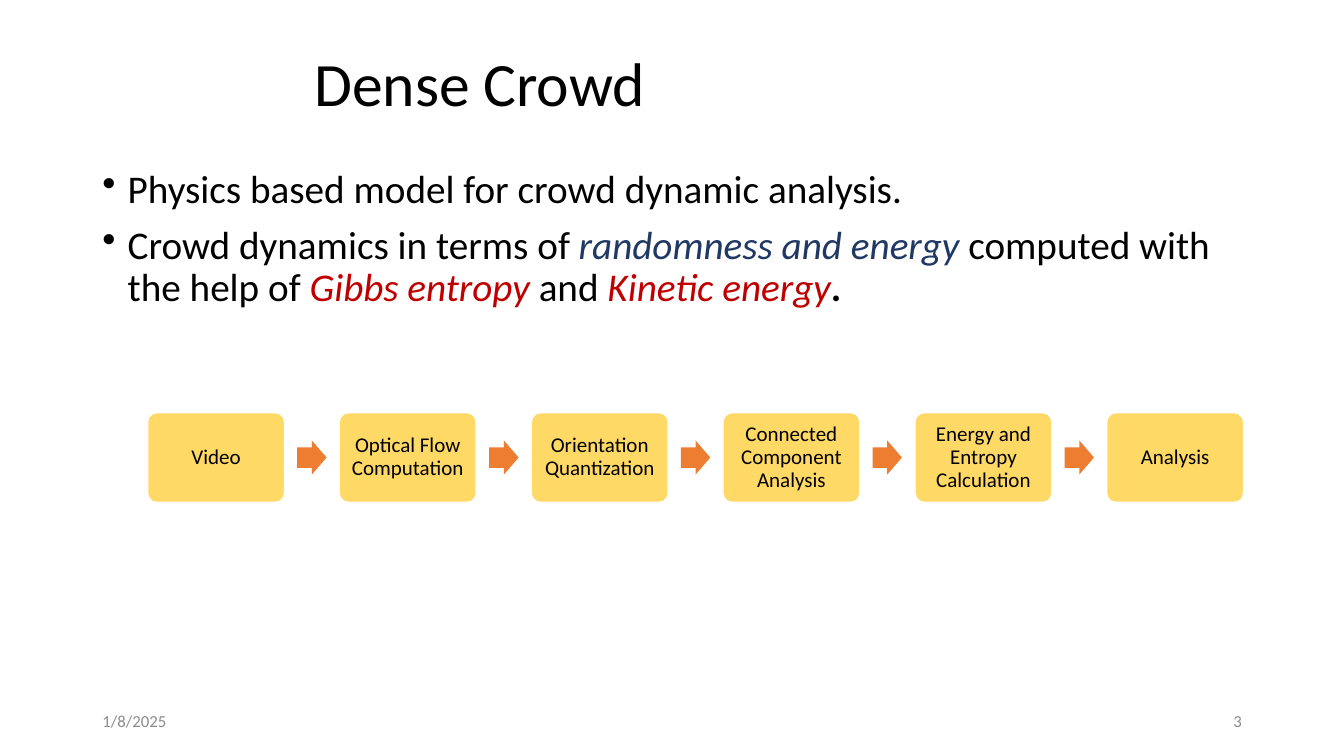
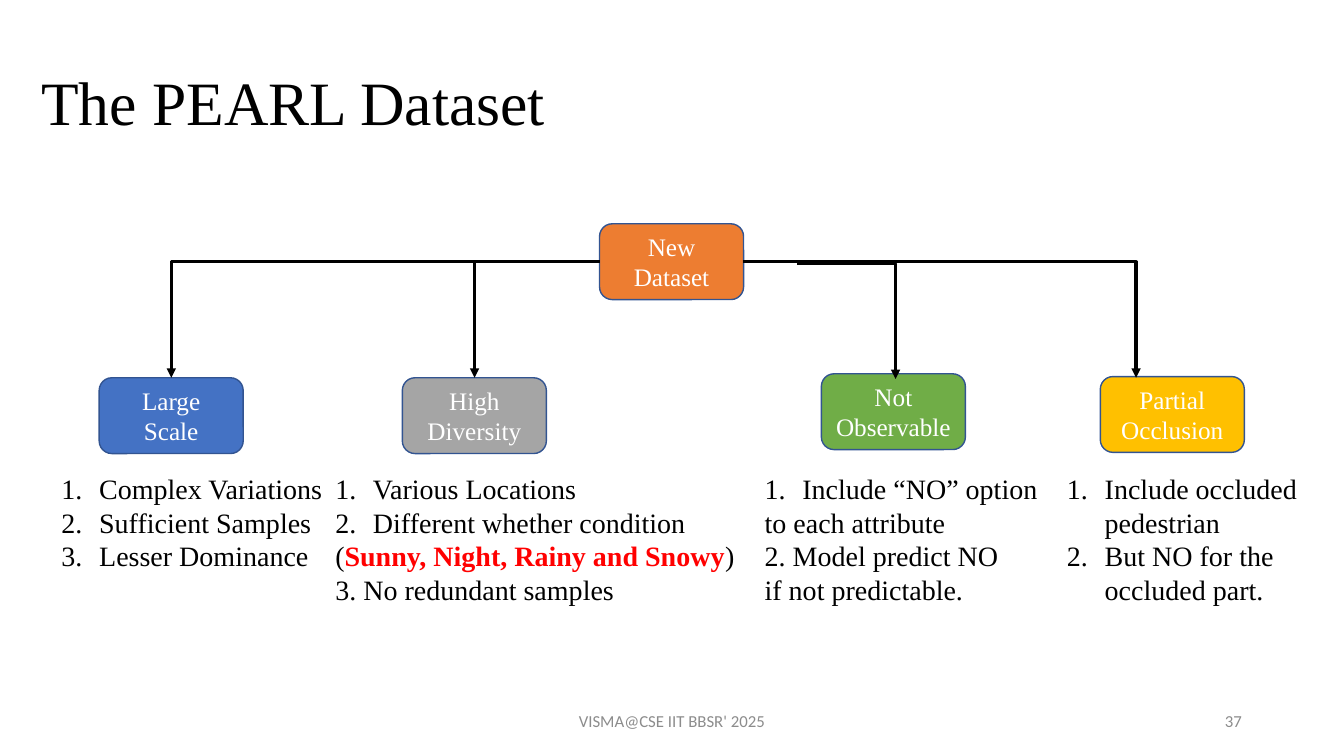
from dataclasses import dataclass

from lxml import etree
from pptx import Presentation
from pptx.dml.color import RGBColor
from pptx.enum import shapes, text
from pptx.oxml import ns
from pptx.util import Cm, Pt


@dataclass(frozen=True)
class Theme:
    sans: str = "Calibri"
    serif: str = "Times New Roman"
    ink: str = "000000"
    white: str = "FFFFFF"
    muted: str = "8C8C8C"
    navy: str = "203864"
    crimson: str = "C00000"
    red: str = "FF0000"
    step: str = "FFD966"
    orange: str = "ED7D31"
    blue: str = "4472C4"
    gray: str = "A5A5A5"
    green: str = "70AD47"
    gold: str = "FFC000"
    outline: str = "325491"
    title: int = 44
    body: int = 28
    detail: int = 20
    node: int = 18
    step_size: int = 15
    footer: int = 12


T = Theme()
ALIGN = text.PP_ALIGN
MIDDLE = text.MSO_ANCHOR.MIDDLE
PRESET = shapes.MSO_SHAPE

# Boxes are (left, top, width, height) in centimetres
DATE_BOX = (2.33, 17.65, 7.62, 1.01)
CENTRE_BOX = (11.22, 17.65, 11.43, 1.01)
NUMBER_BOX = (23.93, 17.65, 7.62, 1.01)
NODE_SIZE = (3.63, 1.91)

STEPS = ["Video", "Optical Flow Computation", "Orientation Quantization",
         "Connected Component Analysis", "Energy and Entropy Calculation",
         "Analysis"]

# Runs are plain strings or (text, colour, bold, italic)
POINTS = [
    ["Physics based model for crowd dynamic analysis."],
    ["Crowd dynamics in terms of ",
     ("randomness and energy ", T.navy, False, True),
     "computed with the help of ",
     ("Gibbs entropy ", T.crimson, False, True), "and ",
     ("Kinetic energy", T.crimson, False, True),
     (".", T.ink, True, False)],
]


@dataclass(frozen=True)
class Branch:
    label: str
    fill: str
    node_at: tuple    # left, top
    arrow: tuple      # start x, start y, tip x, tip y
    detail_box: tuple
    numbered: int     # how many leading paragraphs carry a number
    details: list
    wrap: bool = False


BRANCHES = [
    Branch("Large Scale", T.blue, (2.5, 9.52), (15.11, 6.6, 4.32, 9.52),
           (1.3, 11.76, 7.14, 2.82), 3,
           [["Complex Variations"], ["Sufficient Samples"],
            ["Lesser Dominance"]]),
    Branch("High Diversity", T.gray, (10.14, 9.52), (15.11, 6.6, 11.96, 9.52),
           (8.2, 11.76, 10.64, 3.68), 2,
           [["Various Locations"], ["Different whether condition"],
            ["(", ("Sunny, Night, Rainy and Snowy", T.red, True, False), ")"],
            ["3. No redundant samples"]]),
    Branch("Not Observable", T.green, (20.7, 9.42), (20.09, 6.63, 22.57, 9.55),
           (19.02, 11.76, 7.44, 3.68), 1,
           [["Include “NO” option"], ["to each attribute"],
            ["2. Model predict NO"], ["if not predictable."]]),
    Branch("Partial Occlusion", T.gold, (27.73, 9.49),
           (18.72, 6.6, 28.63, 9.52), (26.64, 11.76, 7.2, 3.68), 2,
           [["Include occluded pedestrian"],
            ["But NO for the occluded part."]], True),
]


def rgb(value):
    return RGBColor.from_string(value)


def lengths(box):
    return [Cm(round(value, 2)) for value in box]


def add_marker(paragraph, tag, indent, **attributes):
    """Hang the paragraph behind a bullet or number."""
    properties = paragraph._p.get_or_add_pPr()
    properties.set("marL", str(Cm(indent)))
    properties.set("indent", str(-Cm(indent)))
    etree.SubElement(properties, ns.qn(tag), attributes)


def style(paragraph, size, face, colour, align=ALIGN.LEFT, spacing=None):
    paragraph.alignment = align
    if spacing:
        paragraph.line_spacing = spacing
    font = paragraph.font
    font.size, font.name = Pt(size), face
    font.color.rgb = rgb(colour)


def add_runs(paragraph, runs):
    for part in runs:
        run = paragraph.add_run()
        if isinstance(part, str):
            run.text = part
            continue
        run.text, colour, run.font.bold, run.font.italic = part
        run.font.color.rgb = rgb(colour)


def paragraphs(frame, count):
    return [frame.paragraphs[0]] + [frame.add_paragraph()
                                    for _ in range(count - 1)]


def text_box(slide, box, anchor=text.MSO_ANCHOR.TOP, wrap=True):
    frame = slide.shapes.add_textbox(*lengths(box)).text_frame
    frame.word_wrap = wrap
    frame.vertical_anchor = anchor
    return frame


def label(slide, box, words, size, face, colour, align=ALIGN.LEFT,
          spacing=None):
    paragraph = text_box(slide, box, MIDDLE).paragraphs[0]
    paragraph.add_run().text = words
    style(paragraph, size, face, colour, align, spacing)


def title(slide, box, words, face):
    label(slide, box, words, T.title, face, T.ink, spacing=0.9)


def footer(slide, box, words, align):
    label(slide, box, words, T.footer, T.sans, T.muted, align)


def solid(slide, preset, box, fill, outline=None):
    shape = slide.shapes.add_shape(preset, *lengths(box))
    shape.shadow.inherit = False
    shape.fill.solid()
    shape.fill.fore_color.rgb = rgb(fill)
    if outline:
        shape.line.color.rgb = rgb(outline)
        shape.line.width = Pt(1)
    else:
        shape.line.fill.background()
    return shape


def caption(shape, words, size, face, colour, spacing=None):
    frame = shape.text_frame
    frame.word_wrap = True
    frame.vertical_anchor = MIDDLE
    paragraph = frame.paragraphs[0]
    paragraph.add_run().text = words
    style(paragraph, size, face, colour, ALIGN.CENTER, spacing)
    return frame


def bullet_list(slide, box, points):
    frame = text_box(slide, box)
    for i, paragraph in enumerate(paragraphs(frame, len(points))):
        add_marker(paragraph, "a:buChar", 0.64, char="•")
        if i:
            paragraph.space_before = Pt(10)
        style(paragraph, T.body, T.sans, T.ink, spacing=0.9)
        add_runs(paragraph, points[i])


def process_row(slide, box, steps):
    """Equal steps across the box, with an arrow centred in every gap."""
    left, top, width, height = box
    step_width, arrow_width, arrow_height = 3.45, 0.74, 0.86
    pitch = (width - step_width) / (len(steps) - 1)
    for i, words in enumerate(steps):
        x = left + i * pitch
        step = solid(slide, PRESET.ROUNDED_RECTANGLE,
                     (x, top, step_width, height), T.step, T.white)
        step.adjustments[0] = 0.1
        frame = caption(step, words, T.step_size, T.sans, T.ink, 0.9)
        frame.margin_left = frame.margin_right = Cm(0.15)
        frame.margin_top = frame.margin_bottom = Cm(0.15)
        if i < len(steps) - 1:
            arrow_x = x + (step_width + pitch - arrow_width) / 2
            arrow_y = top + (height - arrow_height) / 2
            arrow = solid(slide, PRESET.RIGHT_ARROW,
                          (arrow_x, arrow_y, arrow_width, arrow_height),
                          T.orange)
            arrow.adjustments[0] = 0.6


def node(slide, at, words, fill):
    shape = solid(slide, PRESET.ROUNDED_RECTANGLE, (*at, *NODE_SIZE), fill,
                  T.outline)
    caption(shape, words, T.node, T.serif, T.white)


def bent_arrow(slide, ends):
    """One-corner connector: across first, then down to the tip."""
    arrow = slide.shapes.add_connector(shapes.MSO_CONNECTOR.ELBOW,
                                       *lengths(ends))
    arrow.line.color.rgb = rgb(T.ink)
    arrow.line.width = Pt(2.25)
    properties = arrow._element.spPr
    properties.find(ns.qn("a:prstGeom")).set("prst", "bentConnector2")
    etree.SubElement(properties.find(ns.qn("a:ln")), ns.qn("a:tailEnd"),
                     type="triangle")
    etree.SubElement(properties, ns.qn("a:effectLst"))


def branch_details(slide, branch):
    frame = text_box(slide, branch.detail_box, wrap=branch.wrap)
    frame.auto_size = text.MSO_AUTO_SIZE.SHAPE_TO_FIT_TEXT
    for i, paragraph in enumerate(paragraphs(frame, len(branch.details))):
        if i < branch.numbered:
            add_marker(paragraph, "a:buAutoNum", 0.95, type="arabicPeriod")
        style(paragraph, T.detail, T.serif, T.ink)
        add_runs(paragraph, branch.details[i])


def dense_crowd(slide):
    title(slide, (7.67, 1.09, 16.89, 2.16), "Dense Crowd", T.sans)
    bullet_list(slide, (2.33, 4.14, 29.21, 5.54), POINTS)
    process_row(slide, (3.72, 10.4, 27.62, 2.26), STEPS)
    footer(slide, DATE_BOX, "1/8/2025", ALIGN.LEFT)
    footer(slide, NUMBER_BOX, "3", ALIGN.RIGHT)


def pearl_dataset(slide):
    title(slide, (0.79, 0.81, 14.33, 3.68), "The PEARL Dataset", T.serif)
    node(slide, (15.11, 5.64), "New Dataset", T.orange)
    for branch in BRANCHES:
        node(slide, branch.node_at, branch.label, branch.fill)
        bent_arrow(slide, branch.arrow)
        branch_details(slide, branch)
    footer(slide, CENTRE_BOX, "VISMA@CSE IIT BBSR' 2025", ALIGN.CENTER)
    footer(slide, NUMBER_BOX, "37", ALIGN.RIGHT)


def main():
    deck = Presentation()
    deck.slide_width, deck.slide_height = Cm(33.87), Cm(19.05)
    blank = deck.slide_layouts[6]
    for build in (dense_crowd, pearl_dataset):
        build(deck.slides.add_slide(blank))
    deck.save("out.pptx")


if __name__ == "__main__":
    main()
